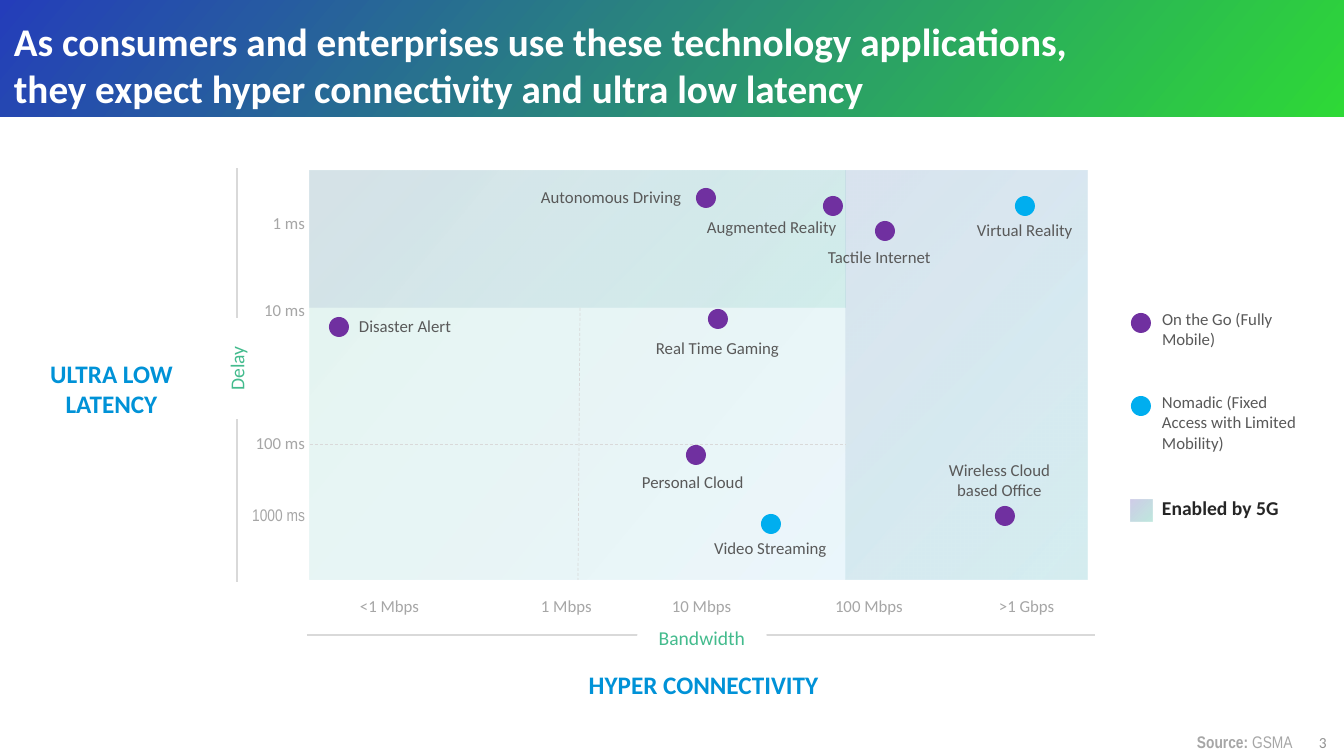
from dataclasses import dataclass
from typing import NamedTuple

from pptx import Presentation
from pptx.dml.color import RGBColor as Rgb
from pptx.enum.dml import MSO_LINE_DASH_STYLE as Dash
from pptx.enum.shapes import MSO_CONNECTOR as Connector, MSO_SHAPE as Preset
from pptx.enum.text import MSO_ANCHOR as Anchor, PP_ALIGN as Align
from pptx.oxml import parse_xml
from pptx.oxml.ns import nsdecls, qn
from pptx.util import Emu, Pt

SCALE = 914400 / 100.8


class Box(NamedTuple):
    """A rectangle in px."""
    left: int
    top: int
    width: int
    height: int

    def inner(self, left, top, width, height):
        """Return a box placed relative to this one."""
        return Box(self.left + left, self.top + top, width, height)

    def emu(self):
        """Return the four lengths in EMU."""
        return [px(length) for length in self]


@dataclass(frozen=True)
class Theme:
    """Colours, gradients and type sizes of the slide."""
    white: str = "FFFFFF"
    rule: str = "D9D9D9"
    mobile: str = "7030A0"
    nomadic: str = "00AEEF"
    title_fill: tuple = ((0, "0D29B3", 89), (100, "18D521", 89))
    plot_fill: tuple = ((0, "43BB8D", 14), (98, "46A4F6", 9))
    zone_fill: tuple = ((0, "02A27C", 10), (96, "6257B3", 11))
    swatch_fill: tuple = ((0, "02A27C", 25), (98, "6257B3", 30))

    def style(self, role):
        """Return the font values and the colour of a text role."""
        name, size, bold, color = {
            "title": ("Calibri", 28, True, "FFFFFF"),
            "heading": ("Calibri", 18, True, "0092D7"),
            "axis": ("Calibri", 14, False, "43BB8D"),
            "tick": ("Calibri", 12, False, "A6A6A6"),
            "narrow": ("Arial Narrow", 12, False, "A6A6A6"),
            "source": ("Arial Narrow", 12, True, "A6A6A6"),
            "number": ("Calibri", 11, False, "929292"),
            "label": ("Calibri", 12, False, "595959"),
            "strong": ("Calibri", 14, True, "262626"),
        }[role]
        return {"name": name, "size": Pt(size), "bold": bold}, color


THEME = Theme()


def px(length):
    """Turn px into EMU."""
    return Emu(round(length * SCALE))


def add_span(para, text, role):
    """Add a run of text in the given role."""
    span = para.add_run()
    span.text = text
    values, color = THEME.style(role)
    for key, value in values.items():
        setattr(span.font, key, value)
    span.font.color.rgb = Rgb.from_string(color)


def write(shape, lines, role, align=Align.LEFT, wrap=False, inset=(10, 5), anchor=Anchor.TOP):
    """Write lines of text into a shape."""
    frame = shape.text_frame
    side, edge = map(px, inset)
    values = {"word_wrap": wrap, "vertical_anchor": anchor, "margin_left": side,
              "margin_right": side, "margin_top": edge, "margin_bottom": edge}
    for key, value in values.items():
        setattr(frame, key, value)
    for index, line in enumerate(lines):
        para = frame.add_paragraph() if index else frame.paragraphs[0]
        para.alignment = align
        add_span(para, line, role)
    return frame


def add_text(page, box, text, role, **layout):
    """Add a text box, one paragraph for each line."""
    return write(page.shapes.add_textbox(*box.emu()), text.split("\n"), role, **layout)


def add_solid(page, box, preset, color):
    """Add a shape with one flat colour and no outline."""
    shape = page.shapes.add_shape(preset, *box.emu())
    shape.shadow.inherit = False
    shape.line.fill.background()
    shape.fill.solid()
    shape.fill.fore_color.rgb = Rgb.from_string(color)
    return shape


def add_gradient(page, box, stops, circle=False):
    """Add a rectangle with a see-through gradient, slanted or round."""
    shape = add_solid(page, box, Preset.RECTANGLE, THEME.white)
    marks = "".join(
        f'<a:gs pos="{place * 1000}"><a:srgbClr val="{color}">'
        f'<a:alpha val="{alpha * 1000}"/></a:srgbClr></a:gs>'
        for place, color, alpha in stops)
    course = ('<a:path path="circle"><a:fillToRect l="100000" t="100000"/></a:path>'
              if circle else '<a:lin ang="2400000" scaled="0"/>')
    properties = shape.element.spPr
    properties.replace(properties.find(qn("a:solidFill")), parse_xml(
        f'<a:gradFill {nsdecls("a")} rotWithShape="1"><a:gsLst>{marks}</a:gsLst>{course}</a:gradFill>'))


def add_rule(page, start, end, width=1, dash=None):
    """Add a thin grey line."""
    rule = page.shapes.add_connector(Connector.STRAIGHT, *map(px, start + end))
    rule.line.color.rgb = Rgb.from_string(THEME.rule)
    rule.line.width = Pt(width)
    rule.line.dash_style = dash
    rule.element.spPr.append(parse_xml(f'<a:effectLst {nsdecls("a")}/>'))


def add_dot(page, box, x, y, color):
    """Add a round marker centred on a point of the box."""
    add_solid(page, box.inner(x - 10, y - 10, 20, 20), Preset.OVAL, color)


def add_title(page, box):
    """Draw the title band."""
    add_gradient(page, box, THEME.title_fill)
    add_text(page, box.inner(9, 12, 1212, 105),
             "As consumers and enterprises use these technology applications,\n"
             "they expect hyper connectivity and ultra low latency",
             "title", wrap=True, inset=(5, 5))


def add_plot(page, box):
    """Draw the shaded zones, the grid and the marked applications."""
    split, band = 536, 137
    add_gradient(page, box, THEME.plot_fill)
    add_gradient(page, box.inner(0, 0, split, band), THEME.zone_fill, circle=True)
    add_gradient(page, box.inner(split, 0, box.width - split, box.height), THEME.zone_fill, circle=True)
    for start, end in (((270, band), (268, box.height)), ((0, 273), (split, 273))):
        add_rule(page, box.inner(*start, 0, 0)[:2], box.inner(*end, 0, 0)[:2], 0.5, Dash.DASH)
    applications = (
        ("Autonomous Driving", 396, 27, THEME.mobile, 221, 11, 162),
        ("Augmented Reality", 523, 35, THEME.mobile, 387, 41, 151),
        ("Tactile Internet", 575, 60, THEME.mobile, 508, 71, 124),
        ("Virtual Reality", 715, 35, THEME.nomadic, 657, 44, 117),
        ("Disaster Alert", 29, 156, THEME.mobile, 39, 140, 114),
        ("Real Time Gaming", 408, 148, THEME.mobile, 336, 162, 145),
        ("Personal Cloud", 386, 284, THEME.mobile, 322, 296, 123),
        ("Video Streaming", 461, 353, THEME.nomadic, 394, 362, 134),
        ("Wireless Cloud\nbased Office", 695, 345, THEME.mobile, 628, 284, 123),
    )
    for name, x, y, color, left, top, width in applications:
        add_dot(page, box, x, y, color)
        lines = name.count("\n") + 1
        add_text(page, box.inner(left, top, width, 10 + 20 * lines), name, "label",
                 align=Align.CENTER if lines > 1 else Align.LEFT)


def add_bandwidth_axis(page, box):
    """Draw the line, the names and then the ticks below the plot."""
    height = box.top + 44
    add_rule(page, (box.left, height), (box.left + box.width, height))
    pill = add_solid(page, box.inner(330, 27, 130, 40), Preset.ROUNDED_RECTANGLE, THEME.white)
    pill.adjustments[0] = 0.5
    write(pill, ["Bandwidth"], "axis", align=Align.CENTER, anchor=Anchor.MIDDLE)
    add_text(page, box.inner(240, 73, 313, 40), "HYPER CONNECTIVITY", "heading",
             align=Align.CENTER, wrap=True)
    ticks = (("<1 Mbps", 43, 81), ("1 Mbps", 224, 72), ("10 Mbps", 355, 81),
             ("100 Mbps", 518, 89), (">1 Gbps", 682, 77))
    for text, left, width in ticks:
        add_text(page, box.inner(left, 0, width, 30), text, "tick")


def add_delay_axis(page, box):
    """Draw the ticks, the line and the names left of the plot."""
    ticks = (("1 ms", 40, "tick"), ("10 ms", 127, "tick"),
             ("100 ms", 260, "tick"), ("1000 ms", 332, "narrow"))
    for text, top, role in ticks:
        add_text(page, box.inner(203, top, 78, 30), text, role, align=Align.RIGHT)
    x = box.left + 203
    add_rule(page, (x, box.top + box.height), (x, box.top))
    pill = add_solid(page, box.inner(152, 184, 101, 33), Preset.ROUNDED_RECTANGLE, THEME.white)
    pill.adjustments[0] = 0.5
    pill.rotation = 270
    write(pill, ["Delay"], "axis", align=Align.CENTER, wrap=True, inset=(10, 0), anchor=Anchor.MIDDLE)
    add_text(page, box.inner(0, 185, 155, 72), "ULTRA LOW LATENCY", "heading",
             align=Align.CENTER, wrap=True)


def add_legend(page, box):
    """Draw the key to the markers and the shading."""
    entries = (("On the Go (Fully Mobile)", 0, 136, 50, THEME.mobile),
               ("Nomadic (Fixed Access with Limited Mobility)", 83, 157, 71, THEME.nomadic))
    for text, top, width, height, color in entries:
        add_dot(page, box, 10, top + 19, color)
        add_text(page, box.inner(21, top, width, height), text, "label", wrap=True)
    add_gradient(page, box.inner(0, 196, 21, 21), THEME.swatch_fill, circle=True)
    add_text(page, box.inner(21, 187, 150, 32), "Enabled by 5G", "strong", wrap=True)


def add_footer(page, box):
    """Write the source and the page number."""
    frame = add_text(page, box.inner(0, 0, 117, 29), "Source: ", "source")
    add_span(frame.paragraphs[0], "GSMA", "narrow")
    add_text(page, box.inner(127, 1, 27, 25), "3", "number", inset=(5, 5))


def main():
    """Build the slide and save the deck."""
    deck = Presentation()
    deck.slide_width, deck.slide_height = px(1344), px(756)
    page = deck.slides.add_slide(deck.slide_layouts[6])
    add_title(page, Box(0, 0, 1344, 117))
    add_plot(page, Box(310, 171, 777, 409))
    add_bandwidth_axis(page, Box(307, 591, 788, 113))
    add_delay_axis(page, Box(34, 168, 281, 414))
    add_legend(page, Box(1131, 304, 178, 219))
    add_footer(page, Box(1187, 727, 154, 29))
    deck.save("out.pptx")


if __name__ == "__main__":
    main()
